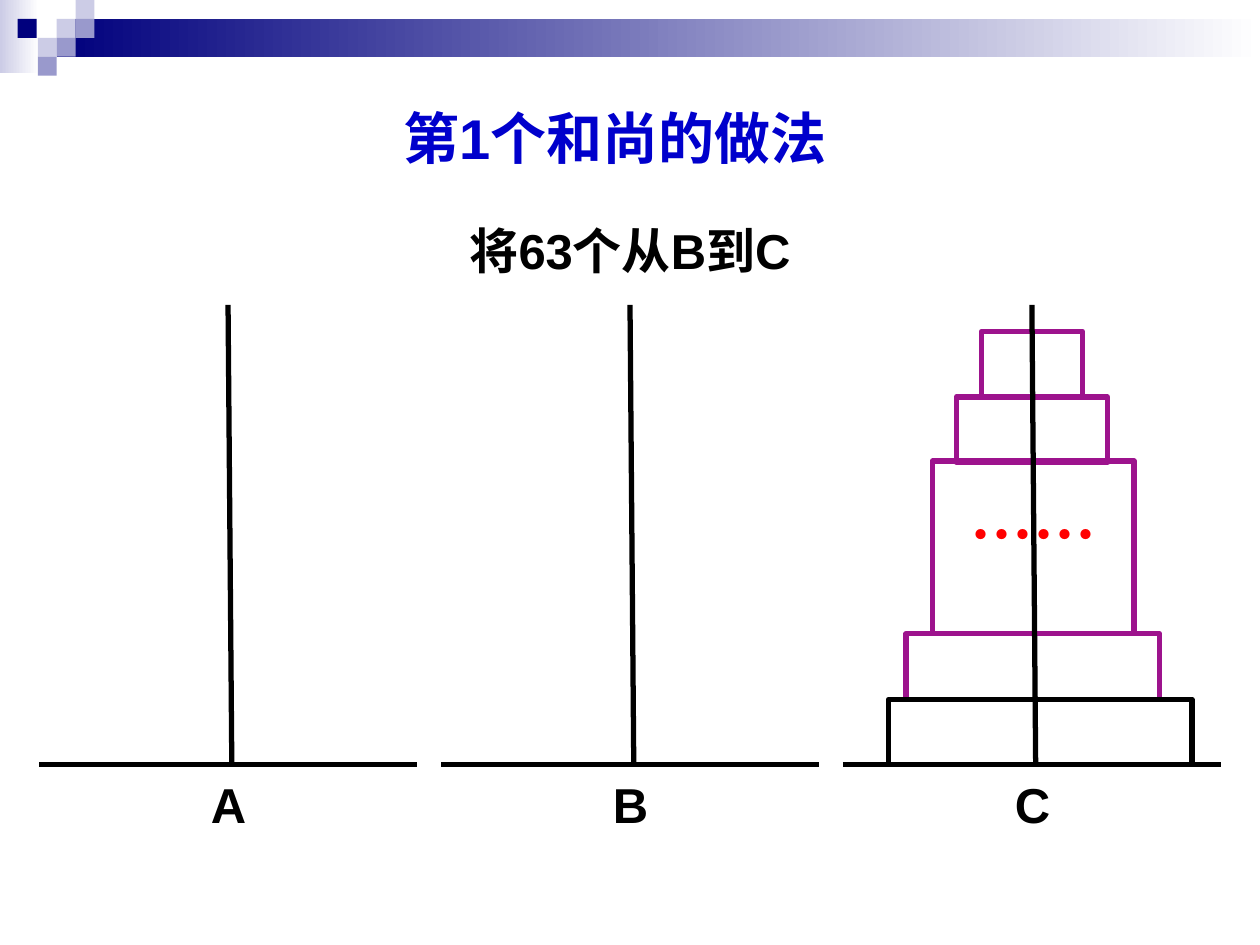
from typing import NamedTuple

from lxml.etree import SubElement
from pptx import Presentation
from pptx.dml.color import RGBColor as RGB
from pptx.enum.shapes import MSO_CONNECTOR as Conn, MSO_SHAPE as Geo
from pptx.enum.text import MSO_ANCHOR as Anchor, MSO_AUTO_SIZE as Auto, PP_ALIGN as Align
from pptx.oxml.ns import qn
from pptx.util import Inches, Pt

HUES = {
    "navy": "00007D", "mid": "9999CC", "pale": "CCCCE6", "white": "FFFFFF",
    "black": "000000", "plum": "9D138D", "red": "FF0000", "blue": "0000CC",
}
LATIN, HAN = "Arial", "Noto Sans CJK SC"
TILE = 0.15
PITCH = 3.19
FLOOR, TOP = 6.07, 2.42


class Box(NamedTuple):
    left: float
    top: float
    width: float
    height: float


class Tile(NamedTuple):
    left: float
    top: float
    hue: str


class Disc(NamedTuple):
    box: Box
    hue: str = "plum"


TILES = [
    Tile(0.45, 0.15, "pale"), Tile(0.6, 0, "pale"), Tile(0.6, 0.15, "mid"),
    Tile(0.3, 0.3, "pale"), Tile(0.14, 0.15, "navy"),
    Tile(0.45, 0.3, "mid"), Tile(0.3, 0.45, "mid"),
]
BANDS = [(Box(0, 0, 0.31, 0.58), "pale"), (Box(0.45, 0.15, 9.55, 0.3), "navy")]
CORE = Disc(Box(7.4, 3.66, 1.6, 1.37))
DISCS = [
    Disc(Box(7.19, 5.03, 2.01, 0.52)), Disc(Box(7.59, 3.15, 1.2, 0.52)),
    Disc(Box(7.79, 2.63, 0.8, 0.52)), Disc(Box(7.05, 5.55, 2.41, 0.52), "black"),
]


def color(name: str) -> RGB:
    return RGB.from_string(HUES[name])


def add_shape(slide, geo, box: Box):
    shape = slide.shapes.add_shape(geo, *map(Inches, box))
    shape.shadow.inherit = False
    return shape


def add_tile(slide, tile: Tile) -> None:
    shape = add_shape(slide, Geo.RECTANGLE, Box(tile.left, tile.top, TILE, TILE))
    shape.fill.solid()
    shape.fill.fore_color.rgb = color(tile.hue)
    shape.line.fill.background()


def add_band(slide, box: Box, hue: str) -> None:
    """Draw a bar that fades to white on the right."""
    shape = add_shape(slide, Geo.RECTANGLE, box)
    shape.fill.gradient()
    shape.fill.gradient_angle = 0
    for stop, name in zip(shape.fill.gradient_stops, (hue, "white")):
        stop.color.rgb = color(name)
    shape.line.fill.background()


def add_disc(slide, disc: Disc):
    shape = add_shape(slide, Geo.FLOWCHART_PROCESS, disc.box)
    shape.fill.background()
    shape.line.color.rgb = color(disc.hue)
    shape.line.width = Pt(3)
    return shape


def add_line(slide, x1: float, y1: float, x2: float, y2: float) -> None:
    line = slide.shapes.add_connector(Conn.STRAIGHT, *map(Inches, (x1, y1, x2, y2)))
    line.line.color.rgb = color("black")
    line.line.width = Pt(3)
    SubElement(line._element.spPr, qn("a:effectLst"))


def set_text(shape, text: str, size: int, hue: str, inset: float,
             face: str = LATIN, wrap: bool = True):
    frame = shape.text_frame
    frame.text = text
    frame.word_wrap = wrap
    frame.auto_size = Auto.NONE
    frame.vertical_anchor = Anchor.TOP
    frame.margin_left = frame.margin_right = Inches(0.1)
    frame.margin_top, frame.margin_bottom = Inches(inset), Inches(0.05)
    para = frame.paragraphs[0]
    para.alignment = Align.CENTER
    font = para.font
    font.name, font.size, font.bold = face, Pt(size), True
    font.color.rgb = color(hue)
    SubElement(font._element, qn("a:ea"), typeface=HAN)
    return para


def add_label(slide, box: Box, text: str, inset: float) -> None:
    shape = slide.shapes.add_textbox(*map(Inches, box))
    set_text(shape, text, 28, "black", inset).line_spacing = Pt(24)


def add_title(slide, box: Box, text: str) -> None:
    title = slide.shapes.title
    title.left, title.top, title.width, title.height = map(Inches, box)
    set_text(title, text, 32, "blue", 0.24).line_spacing = Pt(24)


def main() -> None:
    deck = Presentation()
    deck.slide_width, deck.slide_height = Inches(10), Inches(7.5)
    slide = deck.slides.add_slide(deck.slide_layouts[5])

    for box, hue in BANDS:
        add_band(slide, box, hue)
    for tile in TILES:
        add_tile(slide, tile)

    add_title(slide, Box(2.42, 0.78, 4.92, 0.7), "第1个和尚的做法")
    add_label(slide, Box(3.36, 1.64, 3.28, 0.7), "将63个从B到C", 0.24)

    core = add_disc(slide, CORE)
    set_text(core, "……", 36, "red", 0.27, HAN, wrap=False)
    for disc in DISCS:
        add_disc(slide, disc)

    for i, name in enumerate("ABC"):
        shift = i * PITCH
        add_line(slide, 0.31 + shift, FLOOR, 3.31 + shift, FLOOR)
        add_line(slide, 1.84 + shift, FLOOR, 1.81 + shift, TOP)
        add_label(slide, Box(1.43 + shift, 6.23, 0.77, 0.49), name, 0.05)

    deck.save("out.pptx")


if __name__ == "__main__":
    main()
